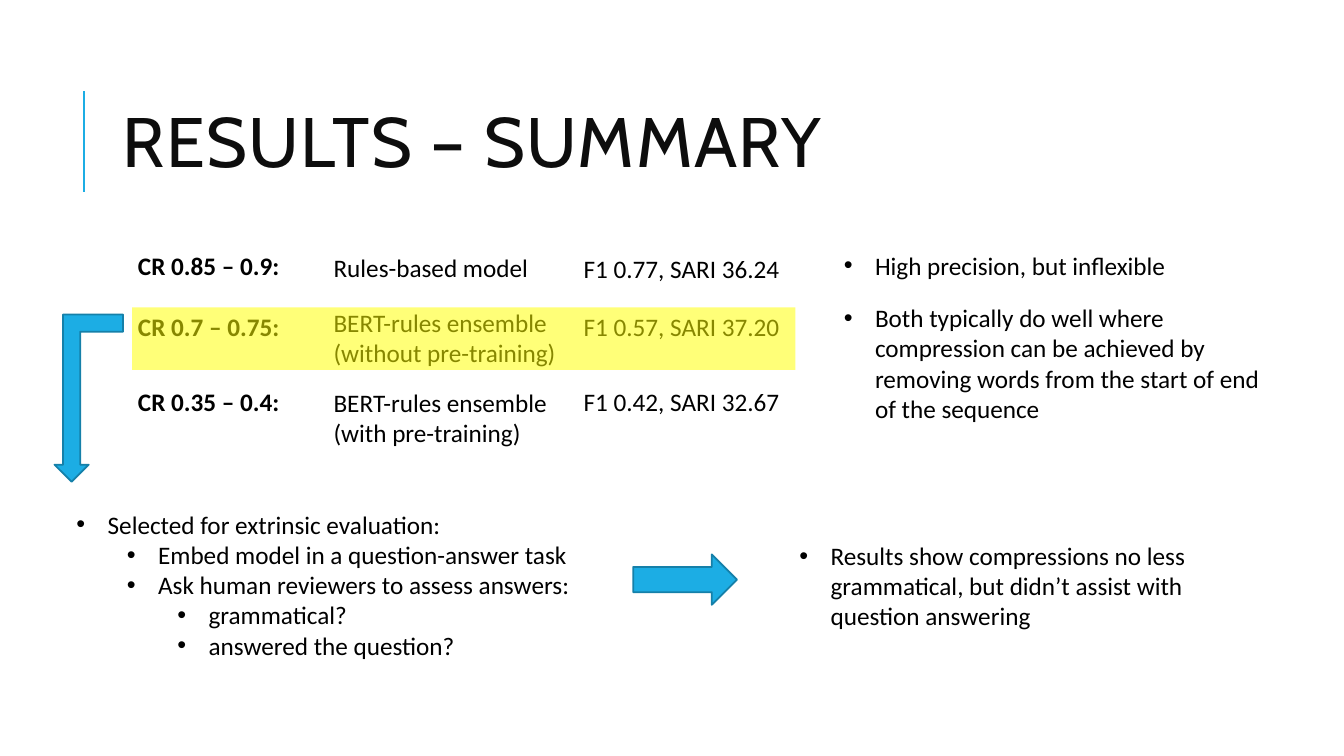
from pptx import Presentation
from pptx.dml.color import RGBColor
from pptx.enum.shapes import MSO_CONNECTOR, MSO_SHAPE
from pptx.enum.text import MSO_ANCHOR
from pptx.oxml.ns import qn
from pptx.util import Inches, Pt
from lxml.etree import SubElement

# Content
TITLE = "RESULTS – SUMMARY"
# Each row: (text, top, height) for ratio, model and score
ROWS = [
    [("CR 0.85 – 0.9:", 2.43, 0.4), ("Rules-based model", 2.45, 0.4),
     ("F1 0.77, SARI 36.24", 2.46, 0.4)],
    [("CR 0.7 – 0.75:", 3.04, 0.4),
     ("BERT-rules ensemble (without pre-training)", 3, 0.71),
     ("F1 0.57, SARI 37.20", 3.04, 0.4)],
    [("CR 0.35 – 0.4:", 3.78, 0.4),
     ("BERT-rules ensemble (with pre-training)", 3.79, 0.71),
     ("F1 0.42, SARI 32.67", 3.78, 0.4)],
]
COLS = [(1.27, 1.95), (3.21, 2.75), (5.69, 2.36)]  # left, width
# Each note: box, then (level, text) lines
NOTES = [
    ((8.27, 2.43, 4.45, 0.4), [(0, "High precision, but inflexible")]),
    ((8.27, 2.95, 4.45, 1.31), [
        (0, "Both typically do well where compression can be achieved by "
            "removing words from the start of end of the sequence")]),
    ((0.66, 5, 10.45, 1.62), [
        (0, "Selected for extrinsic evaluation:"),
        (1, "Embed model in a question-answer task"),
        (1, "Ask human reviewers to assess answers:"),
        (2, "grammatical?"),
        (2, "answered the question?")]),
    ((7.83, 5.31, 4.45, 1.01), [
        (0, "Results show compressions no less grammatical, "
            "but didn’t assist with question answering")]),
]
BLUE, EDGE, YELLOW = "1CADE4", "1580A9", "FFFF00"
INK, BLACK = "0D0D0D", "000000"
INDENT, STEP = 0.31, 0.5

deck = Presentation()
deck.slide_width, deck.slide_height = Inches(13.33), Inches(7.5)
slide = deck.slides.add_slide(deck.slide_layouts[6])
shapes = slide.shapes


def color(code):
    return RGBColor.from_string(code)


def style(para, size=18, face="Calibri", ink=BLACK, bold=False):
    font = para.font
    font.size, font.name, font.bold = Pt(size), face, bold
    font.color.rgb = color(ink)


def add_box(box):
    frame = shapes.add_textbox(*map(Inches, box)).text_frame
    frame.word_wrap = True
    return frame


def add_note(box, lines):
    frame = add_box(box)
    for i, (level, text) in enumerate(lines):
        para = frame.add_paragraph() if i else frame.paragraphs[0]
        para.text, para.level = text, level
        props = para._p.get_or_add_pPr()
        props.set("marL", str(Inches(INDENT + STEP * level)))
        props.set("indent", str(-Inches(INDENT)))
        SubElement(props, qn("a:buFont")).set("typeface", "Arial")
        SubElement(props, qn("a:buChar")).set("char", "•")
        style(para)


def add_form(kind, box, fill, edge=None):
    form = shapes.add_shape(kind, *map(Inches, box))
    form.shadow.inherit = False
    form.fill.solid()
    form.fill.fore_color.rgb = color(fill)
    if edge:
        form.line.color.rgb = color(edge)
        form.line.width = Pt(1.25)
    else:
        form.line.fill.background()
    return form


# Title and its rule
rule = shapes.add_connector(MSO_CONNECTOR.STRAIGHT, Inches(0.83), Inches(1.9),
                            Inches(0.83), Inches(0.9))
rule.line.color.rgb = color(BLUE)
rule.line.width = Pt(1.5)
SubElement(rule._element.spPr, qn("a:effectLst"))

frame = add_box((1.12, 0.64, 10.63, 1.64))
frame.vertical_anchor = MSO_ANCHOR.MIDDLE
head = frame.paragraphs[0]
head.text, head.line_spacing = TITLE, 0.8
style(head, 50, "Cabin", INK)
head.runs[0].font._element.set("spc", "100")

# Result rows
for row in ROWS:
    for col, ((left, width), (text, top, height)) in enumerate(zip(COLS, row)):
        para = add_box((left, top, width, height)).paragraphs[0]
        para.text = text
        style(para, bold=col == 0)

# Highlight over the chosen row
mark = add_form(MSO_SHAPE.RECTANGLE, (1.31, 3.05, 6.58, 0.62), YELLOW)
tint = mark.fill._xPr.find(qn("a:solidFill"))[0]
SubElement(tint, qn("a:alpha")).set("val", "53000")

# Arrows
bend = add_form(MSO_SHAPE.BENT_UP_ARROW, (0.54, 3.12, 0.68, 1.66), BLUE, EDGE)
bend.rotation = 180
add_form(MSO_SHAPE.RIGHT_ARROW, (6.28, 5.5, 1.03, 0.5), BLUE, EDGE)

# Bulleted notes
for box, lines in NOTES:
    add_note(box, lines)

deck.save("out.pptx")
